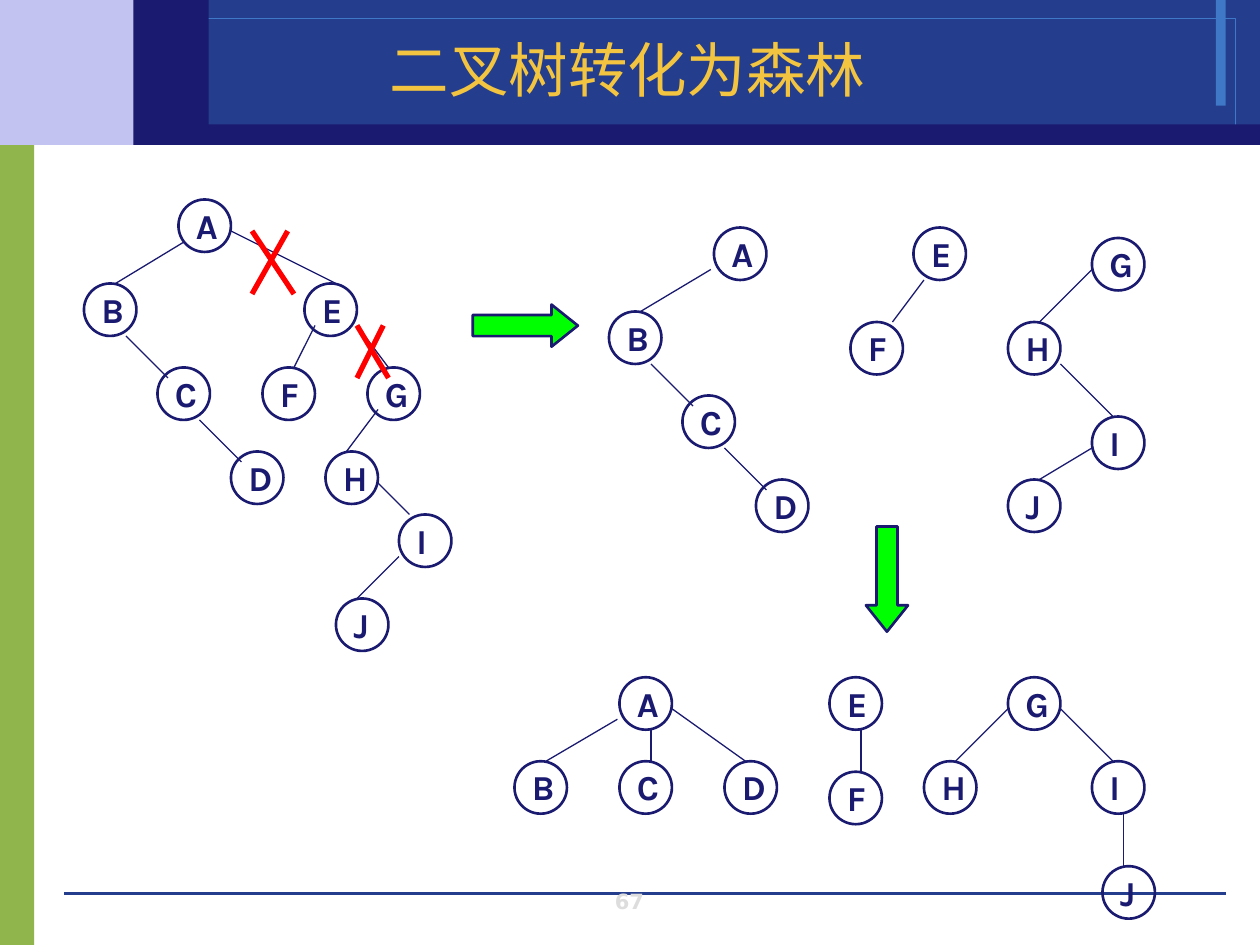
from dataclasses import dataclass

from lxml import etree
from pptx import Presentation
from pptx import util as u
from pptx.dml.color import RGBColor
from pptx.enum import shapes as es
from pptx.enum import text as et
from pptx.oxml.ns import qn

HUES = {
    "navy": "1A1A70",
    "blue": "243D8C",
    "sky": "3E78C6",
    "lilac": "C3C3F1",
    "olive": "90B54D",
    "gold": "F3C43F",
    "grey": "DDDDDD",
    "green": "00FF00",
    "red": "FF0000",
}
UNIT = 2.54 / 12
SIZE = 5 * UNIT
KIND = es.MSO_SHAPE


@dataclass
class Band:
    x: float
    y: float
    w: float
    h: float
    fill: str | None = None
    line: str | None = None


@dataclass
class Node:
    name: str
    x: float
    y: float


@dataclass
class Edge:
    x1: float
    y1: float
    x2: float
    y2: float


@dataclass
class Tree:
    top: float
    nodes: list[Node]
    edges: list[Edge]


BACK = [
    Band(0, 2.71, 0.69, 16.35, "olive"),
    Band(0, 0, 3.89, 2.92, "lilac"),
    Band(3.89, 0, 21.51, 2.92, "blue"),
    Band(24.51, 0, 0.2, 2.13, "sky"),
    Band(3.02, 0.38, 21.89, 2.16, None, "sky"),
]
FRONT = [
    Band(3.3, 2.51, 22.1, 0.41, "navy"),
    Band(2.69, 0, 1.52, 2.92, "navy"),
]

BINARY = Tree(
    0,
    [Node("A", 17, 19), Node("B", 8, 27), Node("C", 15, 35), Node("D", 22, 43),
     Node("E", 29, 27), Node("F", 25, 35), Node("G", 35, 35), Node("H", 31, 43),
     Node("I", 38, 49), Node("J", 32, 57)],
    [Edge(17.6, 23, 11, 27), Edge(12, 32, 16, 36), Edge(19, 40, 23, 44),
     Edge(30, 31, 28, 35), Edge(36, 39, 33, 43), Edge(36, 46, 39, 49),
     Edge(38, 53, 34, 57), Edge(34, 31, 37, 35), Edge(22, 22, 32, 27)],
)
FOREST = Tree(
    64.5,
    [Node("A", 59, 0), Node("B", 49, 8), Node("C", 59, 8), Node("D", 69, 8),
     Node("E", 79, 0), Node("F", 79, 9), Node("G", 96, 0), Node("H", 88, 8),
     Node("I", 104, 8), Node("J", 105, 18)],
    [Edge(58.8, 4, 52, 8), Edge(62, 5, 62, 8), Edge(64, 3, 71, 8),
     Edge(82, 5, 82, 9), Edge(96, 3, 91, 8), Edge(101, 3, 106, 8),
     Edge(107, 13, 107, 18)],
)
SPLIT = Tree(
    21.67,
    [Node("A", 68, 0), Node("B", 58, 8), Node("C", 65, 16), Node("D", 72, 24),
     Node("E", 87, 0), Node("F", 81, 9), Node("G", 104, 1), Node("H", 96, 9),
     Node("I", 104, 18), Node("J", 96, 24)],
    [Edge(67.7, 4, 61, 8), Edge(62, 13, 66, 17), Edge(69, 21, 73, 25),
     Edge(88, 5, 85, 9), Edge(104, 4, 99, 9), Edge(101, 13, 106, 18),
     Edge(104, 21, 99, 24)],
)
CUTS = [
    [Edge(27.4, 22, 24, 28), Edge(24, 22, 28, 28)],
    [Edge(36.5, 31, 34, 36), Edge(34, 31, 37, 36)],
]


def tint(name: str) -> RGBColor:
    return RGBColor.from_string(HUES[name])


def box(x: float, y: float, w: float, h: float) -> list[u.Cm]:
    return [u.Cm(v) for v in (x, y, w, h)]


def draw_shape(pool, kind, band: Band, width: float = 0):
    shape = pool.add_shape(kind, *box(band.x, band.y, band.w, band.h))
    shape.shadow.inherit = False
    if band.fill:
        shape.fill.solid()
        shape.fill.fore_color.rgb = tint(band.fill)
    else:
        shape.fill.background()
    if band.line:
        shape.line.color.rgb = tint(band.line)
        shape.line.width = u.Pt(width)
    else:
        shape.line.fill.background()
    return shape


def draw_line(pool, ends: Edge, hue: str, width: float) -> None:
    line = pool.add_connector(
        es.MSO_CONNECTOR.STRAIGHT, *box(ends.x1, ends.y1, ends.x2, ends.y2))
    line.line.color.rgb = tint(hue)
    line.line.width = u.Pt(width)
    etree.SubElement(line.element.spPr, qn("a:effectLst"))


def draw_edge(pool, edge: Edge, top: float, hue: str, width: float) -> None:
    ends = Edge(edge.x1 * UNIT, (edge.y1 + top) * UNIT,
                edge.x2 * UNIT, (edge.y2 + top) * UNIT)
    draw_line(pool, ends, hue, width)


def style(frame, words: str, face: str, size: float, hue: str, bold: bool):
    frame.text = words
    para = frame.paragraphs[0]
    font = para.font
    font.name, font.size, font.bold = face, u.Pt(size), bold
    font.color.rgb = tint(hue)
    return para


def draw_node(pool, node: Node, top: float) -> None:
    x, y = node.x * UNIT, (node.y + top) * UNIT
    frame = pool.add_textbox(*box(x + 0.35, y + 0.26, 0.56, 0.69)).text_frame
    frame.margin_left = frame.margin_right = 0
    frame.margin_top = frame.margin_bottom = 0
    frame.auto_size = et.MSO_AUTO_SIZE.SHAPE_TO_FIT_TEXT
    style(frame, node.name, "Karla", 20, "navy", True).line_spacing = 0.8
    draw_shape(pool, KIND.OVAL, Band(x, y, SIZE, SIZE, None, "navy"), 1.5)


def draw_tree(slide, tree: Tree) -> None:
    pool = slide.shapes.add_group_shape().shapes
    for edge in tree.edges:
        draw_edge(pool, edge, tree.top, "navy", 0.75)
    for node in tree.nodes:
        draw_node(pool, node, tree.top)


def draw_title(slide) -> None:
    title = slide.shapes.title
    title.left, title.top, title.width, title.height = box(3.71, 0.91, 17.88, 1.32)
    frame = title.text_frame
    frame.auto_size = et.MSO_AUTO_SIZE.NONE
    frame.vertical_anchor = et.MSO_ANCHOR.BOTTOM
    para = style(frame, "二叉树转化为森林", "DejaVu Sans", 34, "gold", False)
    para.alignment = et.PP_ALIGN.CENTER
    title.element.getparent().append(title.element)


def draw_page(slide) -> None:
    frame = slide.shapes.add_textbox(*box(9.73, 17.91, 5.92, 0.64)).text_frame
    frame.word_wrap = True
    frame.vertical_anchor = et.MSO_ANCHOR.BOTTOM
    para = style(frame, "67", "DejaVu Sans", 12, "grey", True)
    para.alignment = et.PP_ALIGN.CENTER


def draw_arrow(slide, x: float, y: float, turn: float) -> None:
    band = Band(x, y, 2.12, 0.85, "green", "navy")
    arrow = draw_shape(slide.shapes, KIND.RIGHT_ARROW, band, 1.5)
    arrow.adjustments[1] = 0.625
    arrow.rotation = turn


def main() -> None:
    deck = Presentation()
    deck.slide_width, deck.slide_height = u.Cm(25.4), u.Cm(19.05)
    slide = deck.slides.add_slide(deck.slide_layouts[5])
    for band in BACK:
        draw_shape(slide.shapes, KIND.RECTANGLE, band)
    draw_line(slide.shapes, Edge(1.3, 18.01, 24.71, 18.01), "blue", 0)
    for band in FRONT:
        draw_shape(slide.shapes, KIND.RECTANGLE, band)
    draw_page(slide)
    draw_title(slide)
    for tree in (BINARY, FOREST):
        draw_tree(slide, tree)
    for cut in CUTS:
        pool = slide.shapes.add_group_shape().shapes
        for edge in cut:
            draw_edge(pool, edge, 0, "red", 3)
    draw_tree(slide, SPLIT)
    draw_arrow(slide, 9.53, 6.14, 0)
    draw_arrow(slide, 16.82, 11.25, 90)
    deck.save("out.pptx")


if __name__ == "__main__":
    main()
